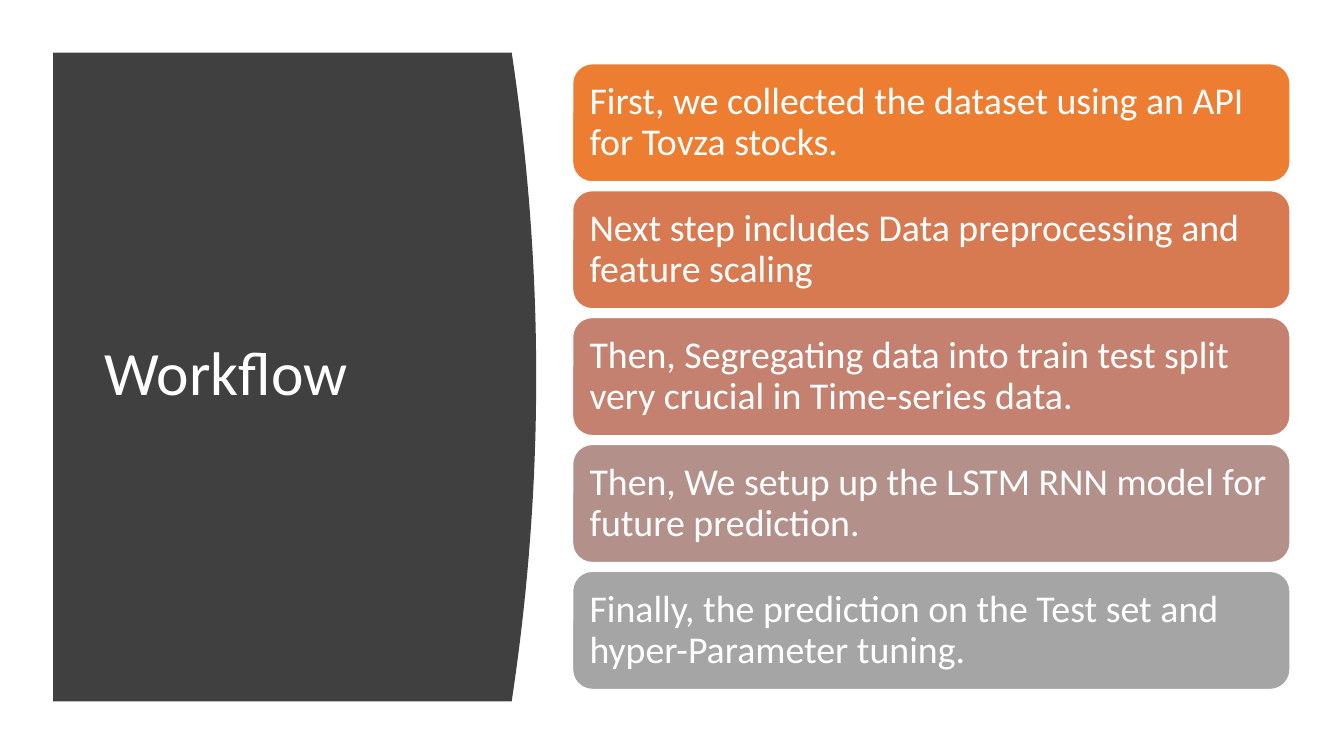
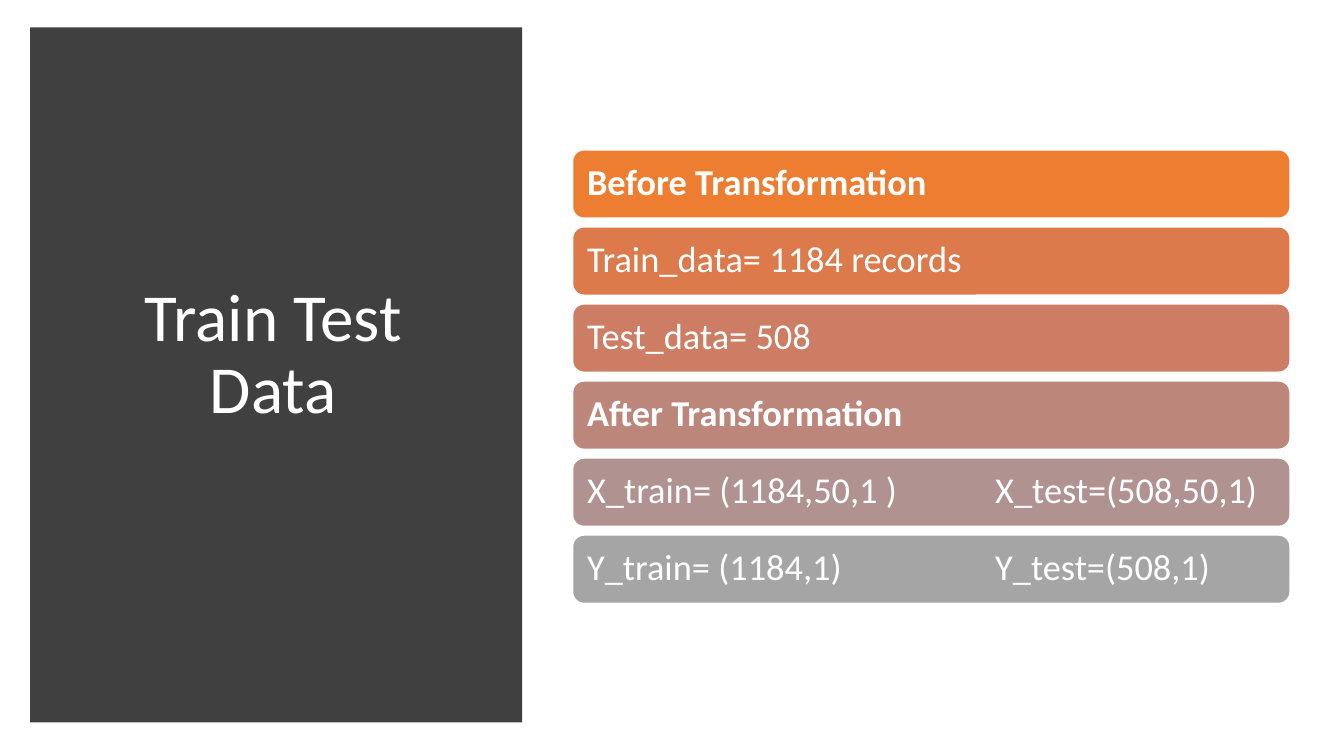
import colorsys

from lxml import etree
from pptx import Presentation
from pptx.dml.color import RGBColor
from pptx.enum.shapes import MSO_SHAPE
from pptx.enum.text import MSO_ANCHOR, MSO_AUTO_SIZE, PP_ALIGN
from pptx.oxml.ns import qn
from pptx.util import Pt

RECT, ROUND = MSO_SHAPE.RECTANGLE, MSO_SHAPE.ROUNDED_RECTANGLE
MIDDLE, NO_FIT = MSO_ANCHOR.MIDDLE, MSO_AUTO_SIZE.NONE
LEFT, CENTER = PP_ALIGN.LEFT, PP_ALIGN.CENTER

COLORS = {"panel": "404040", "text": "FFFFFF", "first": "ED7D31", "last": "A5A5A5"}
FONT = "Calibri"
GAP = 6.2
INSET = 8
TAB = 291.5
TITLE_ONLY = 5

STEPS = [
    "First, we collected the dataset using an API for Tovza stocks.",
    "Next step includes Data preprocessing and feature scaling",
    "Then, Segregating data into train test split very crucial in Time-series data.",
    "Then, We setup up the LSTM RNN model for future prediction.",
    "Finally, the prediction on the Test set and hyper-Parameter tuning.",
]
HEADS = ["Before Transformation", "After Transformation"]
SIZES = [
    HEADS[0],
    "Train_data= 1184 records",
    "Test_data= 508",
    HEADS[1],
    "X_train= (1184,50,1 )\tX_test=(508,50,1)",
    "Y_train= (1184,1)\tY_test=(508,1)",
]


def color(name):
    return RGBColor.from_string(COLORS[name])


def blend(share):
    """Return the colour at this share of the way from first to last, by hue."""
    ends = [colorsys.rgb_to_hls(*(part / 255 for part in color(name)))
            for name in ("first", "last")]
    mixed = [a + (b - a) * share for a, b in zip(*ends)]
    return RGBColor(*(round(part * 255) for part in colorsys.hls_to_rgb(*mixed)))


def paint(shape, fill):
    shape.shadow.inherit = False
    shape.fill.solid()
    shape.fill.fore_color.rgb = fill
    shape.line.fill.background()


def write(shape, text, size, align, bold=False):
    frame = shape.text_frame
    frame.word_wrap = True
    frame.auto_size = NO_FIT
    frame.vertical_anchor = MIDDLE
    frame.text = text
    para = frame.paragraphs[0]
    para.alignment = align
    para.line_spacing = 0.9
    font = para.font
    font.name, font.size, font.bold = FONT, Pt(size), bold
    font.color.rgb = color("text")


def set_tab(shape):
    style = next(shape.element.iter(qn("a:defRPr")))
    stops = etree.Element(qn("a:tabLst"))
    etree.SubElement(stops, qn("a:tab"), pos=str(Pt(TAB)), algn="l")
    style.addprevious(stops)


def add_title(slide, panel, text, box, size, align):
    """Place the title in front of its panel."""
    title = slide.shapes.title
    title.left, title.top, title.width, title.height = map(Pt, box)
    write(title, text, size, align)
    title.element.addprevious(panel.element)


def curved(slide, box, bulge=17.5, steps=40):
    """Draw a panel whose right side bows out by the bulge."""
    x, y, width, height = box
    side = []
    for step in range(steps + 1):
        part = step / steps
        bow = bulge * 4 * part * (1 - part)
        side.append((Pt(x + width - bulge + bow), Pt(y + height * part)))
    path = slide.shapes.build_freeform(Pt(x), Pt(y))
    path.add_line_segments(side + [(Pt(x), Pt(y + height))])
    panel = path.convert_to_shape()
    paint(panel, color("panel"))
    return panel


def flat(slide, box):
    panel = slide.shapes.add_shape(RECT, *map(Pt, box))
    paint(panel, color("panel"))
    return panel


def add_bars(slide, box, items, size):
    """Stack one bar per item, filling the box."""
    x, y, width, height = box
    count = len(items)
    tall = (height - GAP * (count - 1)) / count
    for row, text in enumerate(items):
        top = y + row * (tall + GAP)
        bar = slide.shapes.add_shape(ROUND, Pt(x), Pt(top), Pt(width), Pt(tall))
        paint(bar, blend(row / (count - 1)))
        bar.line.color.rgb = color("text")
        bar.line.width = Pt(1)
        frame = bar.text_frame
        frame.margin_left = frame.margin_right = Pt(INSET)
        frame.margin_top = frame.margin_bottom = Pt(INSET)
        write(bar, text, size, LEFT, text in HEADS)
        if "\t" in text:
            set_tab(bar)


def main():
    deck = Presentation()
    deck.slide_width, deck.slide_height = Pt(960), Pt(540)
    layout = deck.slide_layouts[TITLE_ONLY]

    flow = deck.slides.add_slide(layout)
    panel = curved(flow, (38, 37.5, 345, 463.5))
    add_title(flow, panel, "Workflow", (67.5, 80, 269.5, 377), 44, LEFT)
    add_bars(flow, (409, 45.5, 512.5, 447), STEPS, 27)

    data = deck.slides.add_slide(layout)
    panel = flat(data, (21.5, 19.5, 351.5, 496.5))
    add_title(data, panel, "Train Test Data", (58.5, 58.5, 273.5, 391), 48, CENTER)
    add_bars(data, (409, 107, 512.5, 324), SIZES, 26)

    deck.save("out.pptx")


if __name__ == "__main__":
    main()
